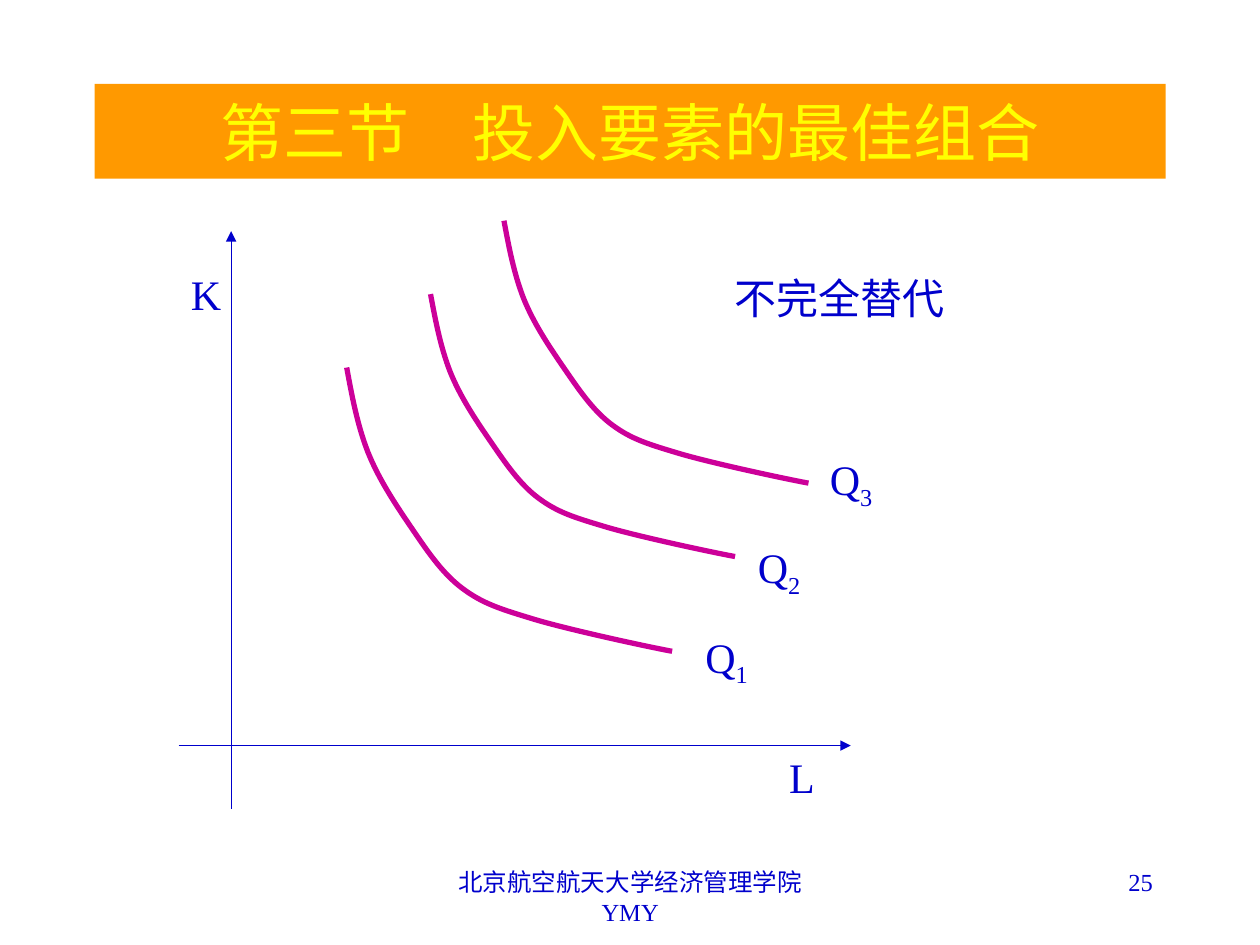
from itertools import chain

from lxml import etree
from pptx import Presentation
from pptx.dml.color import RGBColor
from pptx.enum import shapes, text
from pptx.oxml.ns import qn
from pptx.util import Cm, Pt

THEME = {
    "font": "Times New Roman",
    "ink": RGBColor.from_string("0000CC"),
    "curve": RGBColor.from_string("CC0099"),
    "band": RGBColor.from_string("FF9900"),
    "title": RGBColor.from_string("FFFF00"),
    "title_size": 36, "label_size": 24, "footer_size": 14,
    "axis_width": 0.75, "curve_width": 3,
}
LEFT, CENTER, RIGHT = text.PP_ALIGN.LEFT, text.PP_ALIGN.CENTER, text.PP_ALIGN.RIGHT

# All lengths in cm; boxes are left, top, width, height.
TITLE = ("第三节　投入要素的最佳组合", (1.91, 1.69, 21.59, 1.91))
AXES = [  # start x, y, arrow tip x, y
    (4.66, 16.3, 4.66, 4.66),
    (3.6, 15.03, 17.15, 15.03),
]
LABELS = [  # text, subscript, box
    ("K", "", (3.6, 5.29, 1.48, 1.27)),
    ("L", "", (15.66, 15.03, 1.7, 1.27)),
    ("Q", "1", (13.97, 12.6, 1.7, 1.42)),
    ("Q", "2", (15.03, 10.8, 1.7, 1.42)),
    ("Q", "3", (16.48, 9.02, 1.7, 1.42)),
    ("不完全替代", "", (14.56, 5.36, 5.2, 1.27)),
]
FOOTERS = [
    ("北京航空航天大学经济管理学院 YMY", CENTER, (8.68, 17.36, 8.05, 1.27)),
    ("25", RIGHT, (18.2, 17.36, 5.29, 1.27)),
]
ISOQUANTS = [
    (6.99, 7.41, 6.56, 5.72),
    (8.68, 5.93, 6.14, 5.29),
    (10.16, 4.45, 6.14, 5.29),
]
# Shared isoquant outline: two control points and an end point per segment.
GRID = (310, 270)
SEGMENTS = [
    ((5, 27), (10, 54), (20, 80)),
    ((30, 105), (45, 128), (60, 150)),
    ((75, 172), (90, 195), (110, 210)),
    ((130, 225), (147, 230), (180, 240)),
    ((214, 250), (288, 266), GRID),
]


def cm(values):
    return [Cm(v) for v in values]


def add_run(p, content, size, color, subscript=False):
    r = p.add_run()
    r.text = content
    r.font.name = THEME["font"]
    r.font.size = Pt(size)
    r.font.color.rgb = color
    if subscript:
        r.font._element.set("baseline", "-25000")


def add_text(s, box, content, size, align=LEFT, subscript=""):
    tf = s.shapes.add_textbox(*cm(box)).text_frame
    tf.word_wrap = True
    p = tf.paragraphs[0]
    p.alignment = align
    add_run(p, content, size, THEME["ink"])
    if subscript:
        add_run(p, subscript, size, THEME["ink"], subscript=True)


def add_axis(s, ends):
    axis = s.shapes.add_connector(shapes.MSO_CONNECTOR.STRAIGHT, *cm(ends))
    axis.line.color.rgb = THEME["ink"]
    axis.line.width = Pt(THEME["axis_width"])
    etree.SubElement(axis.line._get_or_add_ln(), qn("a:tailEnd"), type="triangle")
    etree.SubElement(axis._element.spPr, qn("a:effectLst"))


def add_isoquant(s, box):
    left, top, width, height = cm(box)
    builder = s.shapes.build_freeform(0, 0, scale=(width / GRID[0], height / GRID[1]))
    builder.add_line_segments(chain.from_iterable(SEGMENTS), close=False)
    sp = builder.convert_to_shape(left, top)
    bend_segments(sp)
    sp.shadow.inherit = False
    sp.fill.background()
    sp.line.color.rgb = THEME["curve"]
    sp.line.width = Pt(THEME["curve_width"])


def bend_segments(sp):
    """Turn each three straight segments into one cubic Bézier segment."""
    path = next(sp._element.iter(qn("a:path")))
    lines = path.findall(qn("a:lnTo"))
    for i in range(0, len(lines), 3):
        bezier = etree.SubElement(path, qn("a:cubicBezTo"))
        for line in lines[i:i + 3]:
            bezier.append(line[0])
            path.remove(line)


def add_title(s, content, box):
    sp = s.shapes.title
    sp.left, sp.top, sp.width, sp.height = cm(box)
    sp.fill.solid()
    sp.fill.fore_color.rgb = THEME["band"]
    tf = sp.text_frame
    tf.auto_size = text.MSO_AUTO_SIZE.NONE
    tf.vertical_anchor = text.MSO_ANCHOR.MIDDLE
    p = tf.paragraphs[0]
    p.alignment = CENTER
    add_run(p, content, THEME["title_size"], THEME["title"])


def main():
    prs = Presentation()
    prs.slide_width, prs.slide_height = Cm(25.4), Cm(19.05)
    s = prs.slides.add_slide(prs.slide_layouts[5])
    add_title(s, *TITLE)
    for ends in AXES:
        add_axis(s, ends)
    for box in ISOQUANTS:
        add_isoquant(s, box)
    for content, subscript, box in LABELS:
        add_text(s, box, content, THEME["label_size"], subscript=subscript)
    for content, align, box in FOOTERS:
        add_text(s, box, content, THEME["footer_size"], align)
    prs.save("out.pptx")


if __name__ == "__main__":
    main()
